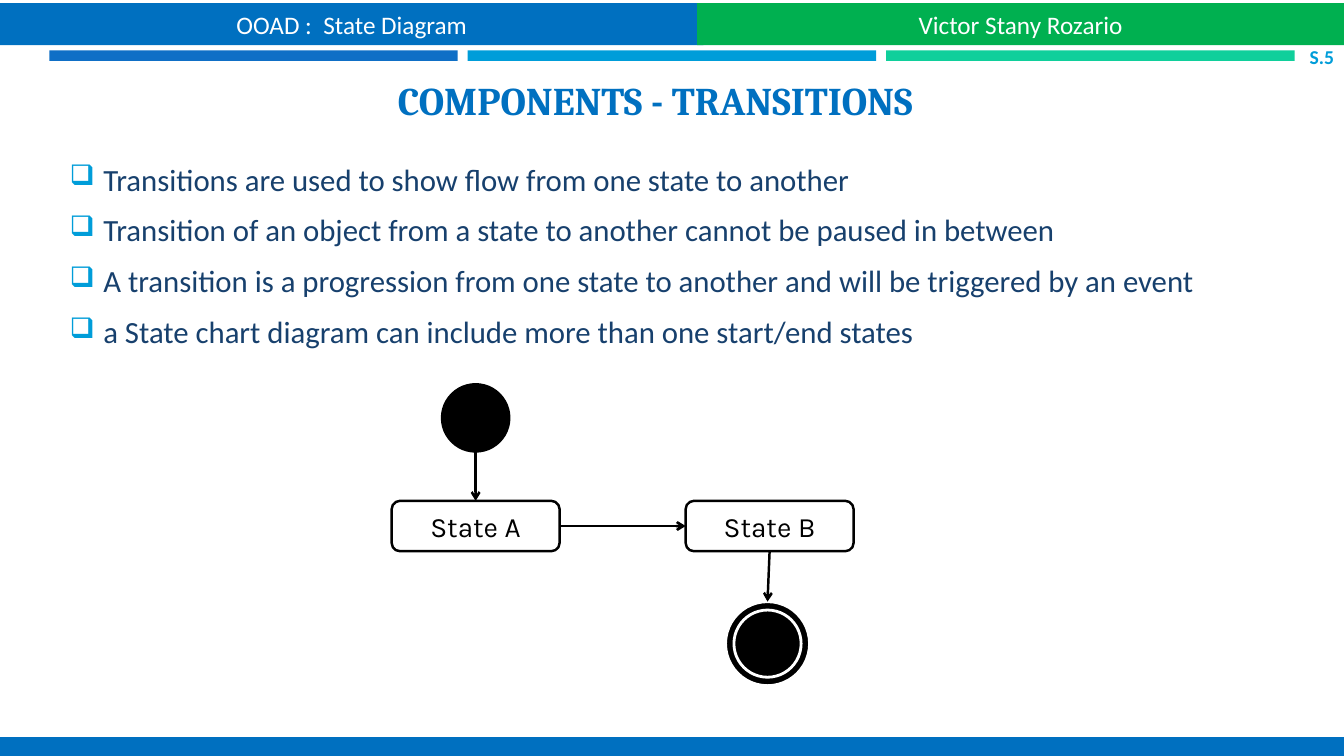
from lxml.etree import SubElement
from pptx import Presentation
from pptx.dml.color import RGBColor
from pptx.enum.shapes import MSO_CONNECTOR, MSO_SHAPE
from pptx.enum.text import MSO_ANCHOR, PP_ALIGN
from pptx.oxml.ns import qn
from pptx.util import Emu, Pt

COLORS = {
    "header_blue": "0070C0", "header_green": "00B050",
    "bar_blue": "0F6FC6", "bar_cyan": "009DD9", "bar_teal": "10CF9B",
    "body": "17406D", "black": "000000", "white": "FFFFFF",
}
BULLETS = [
    "Transitions are used to show flow from one state to another",
    "Transition of an object from a state to another cannot be paused in between",
    "A transition is a progression from one state to another and will be triggered by an event",
    "a State chart diagram can include more than one start/end states",
]


def px(length):
    """Turn pixels into EMU."""
    return Emu(round(length * 9525))


def color(name):
    """Look up a palette colour."""
    return RGBColor.from_string(COLORS[name])


def add_block(slide, kind, box, fill, line=None, line_width=1.75):
    """Add a filled preset shape without shadow."""
    shape = slide.shapes.add_shape(kind, *map(px, box))
    shape.shadow.inherit = False
    shape.fill.solid()
    shape.fill.fore_color.rgb = color(fill)
    if line:
        shape.line.color.rgb = color(line)
        shape.line.width = Pt(line_width)
    else:
        shape.line.fill.background()
    return shape


def write(shape, lines, font_name, size, font_color, align=PP_ALIGN.CENTER,
          anchor=MSO_ANCHOR.MIDDLE, bold=False, wrap=True):
    """Write one paragraph per line and return the paragraphs."""
    frame = shape.text_frame
    frame.word_wrap = wrap
    frame.vertical_anchor = anchor
    frame.text = "\n".join(lines)
    for paragraph in frame.paragraphs:
        paragraph.alignment = align
        paragraph.font.name = font_name
        paragraph.font.size = Pt(size)
        paragraph.font.bold = bold
        paragraph.font.color.rgb = color(font_color)
    return frame.paragraphs


def add_arrow(slide, start, end):
    """Add a black line with an open arrowhead at its end."""
    connector = slide.shapes.add_connector(MSO_CONNECTOR.STRAIGHT, *map(px, start + end))
    connector.line.color.rgb = color("black")
    connector.line.width = Pt(1.75)
    SubElement(connector.line._get_or_add_ln(), qn("a:tailEnd"), type="arrow")
    SubElement(connector._element.spPr, qn("a:effectLst"))


def add_header(slide, left, top, width):
    """Add the two title bands, the three colour bars and the slide number."""
    split, overlap = 670, 6
    bands = [
        ("OOAD :  State Diagram", left, split, "header_blue"),
        ("Victor Stany Rozario", left + split - overlap, width - split + overlap, "header_green"),
    ]
    for text, band_left, band_width, fill in bands:
        band = add_block(slide, MSO_SHAPE.RECTANGLE, (band_left, top, band_width, 40), fill)
        write(band, [text], "Calibri", 18, "white")
    for index, fill in enumerate(("bar_blue", "bar_cyan", "bar_teal")):
        bar = (left + 47 + index * 398.5, top + 45, 389, 10)
        add_block(slide, MSO_SHAPE.RECTANGLE, bar, fill)
    number = slide.shapes.add_textbox(*map(px, (left + width - 60, top + 40, 60, 21)))
    number.text_frame.margin_top = number.text_frame.margin_bottom = 0
    write(number, ["S.5"], "Calibri", 14, "bar_cyan", PP_ALIGN.RIGHT, bold=True)


def add_title(slide, box):
    """Add the slide title."""
    title = slide.shapes.add_textbox(*map(px, box))
    write(title, ["COMPONENTS - TRANSITIONS"], "Cambria", 28, "header_blue",
          anchor=MSO_ANCHOR.BOTTOM, bold=True)


def add_bullets(slide, box):
    """Add the list with hollow square bullets."""
    body = slide.shapes.add_textbox(*map(px, box))
    for paragraph in write(body, BULLETS, "Calibri", 22, "body", PP_ALIGN.LEFT):
        paragraph.space_before = Pt(4)
        paragraph.space_after = Pt(6)
        properties = paragraph._p.get_or_add_pPr()
        properties.set("marL", str(px(32)))
        properties.set("indent", str(-px(32)))
        bullet_color = SubElement(properties, qn("a:buClr"))
        SubElement(bullet_color, qn("a:srgbClr"), val=COLORS["bar_cyan"])
        SubElement(properties, qn("a:buSzPct"), val="92000")
        SubElement(properties, qn("a:buChar"), char="❑")


def add_state_diagram(slide, left, top):
    """Add the start node, both states, the end node and their transitions."""
    state_width, state_height, step = 160, 48, 280
    start_size, end_size, gap = 64, 80, 48
    state_top = top + 111
    state_bottom = state_top + state_height
    center_a = left + state_width / 2
    center_b = center_a + step
    for index, name in enumerate(("State A", "State B")):
        box = (left + index * step, state_top, state_width, state_height)
        state = add_block(slide, MSO_SHAPE.ROUNDED_RECTANGLE, box, "white", "black")
        write(state, [name], "Karla", 20, "black", wrap=False)

    start = (center_a - start_size / 2, top, start_size, start_size)
    add_block(slide, MSO_SHAPE.OVAL, start, "black", "black")

    end_x = center_b - 2
    end_y = state_bottom + gap + end_size / 2
    for size in (end_size, start_size):
        ring = (end_x - size / 2, end_y - size / 2, size, size)
        add_block(slide, MSO_SHAPE.OVAL, ring, "black", "white", 2)

    middle = state_top + state_height / 2
    add_arrow(slide, (center_a, top + start_size / 2), (center_a, state_top))
    add_arrow(slide, (left + state_width, middle), (left + step, middle))
    add_arrow(slide, (center_b, state_bottom), (end_x, state_bottom + gap))


def main():
    """Build the slide and save it."""
    presentation = Presentation()
    presentation.slide_width, presentation.slide_height = px(1280), px(720)
    slide = presentation.slides.add_slide(presentation.slide_layouts[6])
    add_header(slide, 0, 3, 1280)
    add_title(slide, (45, 61, 1158, 61))
    add_bullets(slide, (57, 127, 1178, 232))
    add_state_diagram(slide, 373, 366)
    add_block(slide, MSO_SHAPE.RECTANGLE, (0, 702, 1280, 18), "header_blue")
    presentation.save("out.pptx")


if __name__ == "__main__":
    main()
